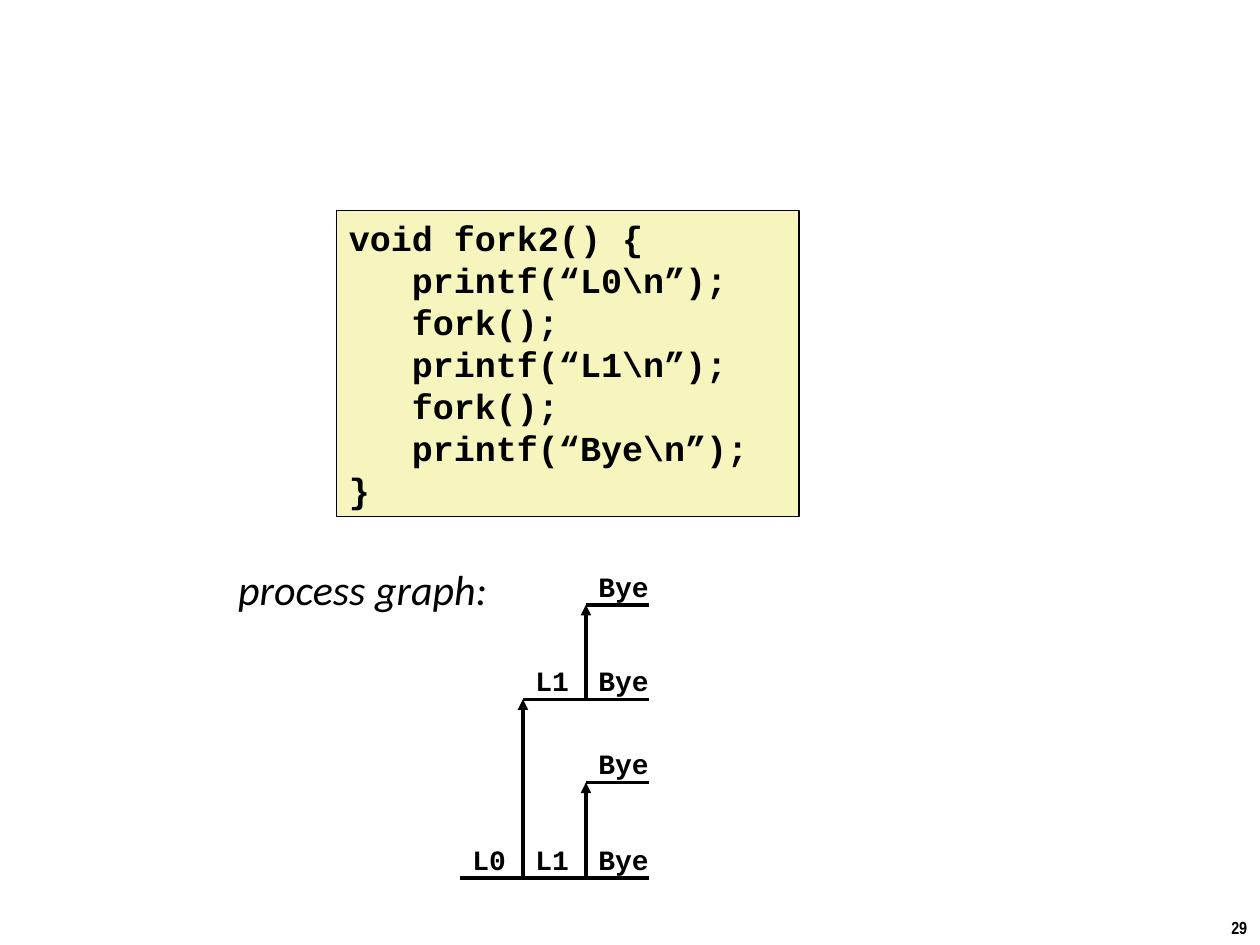
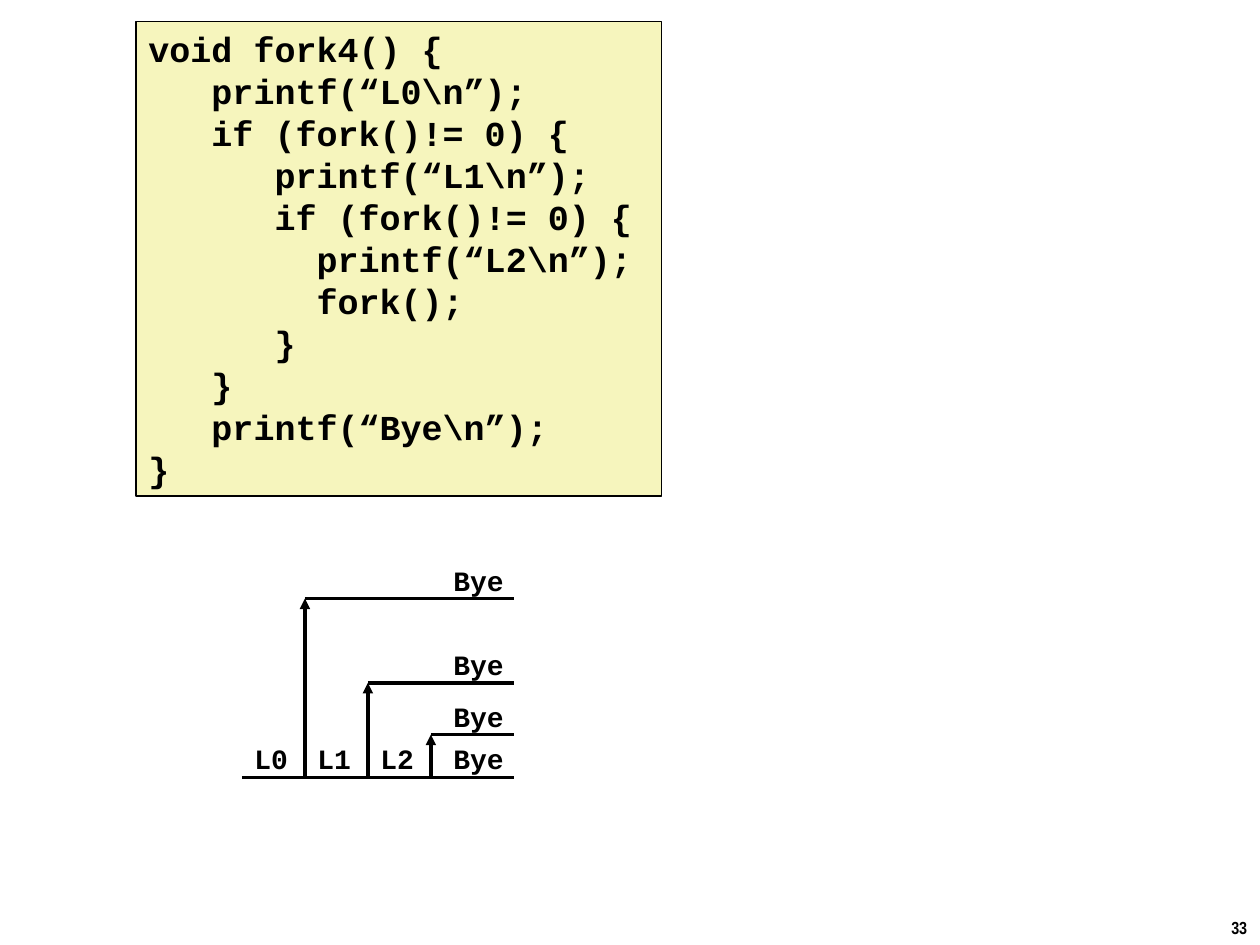
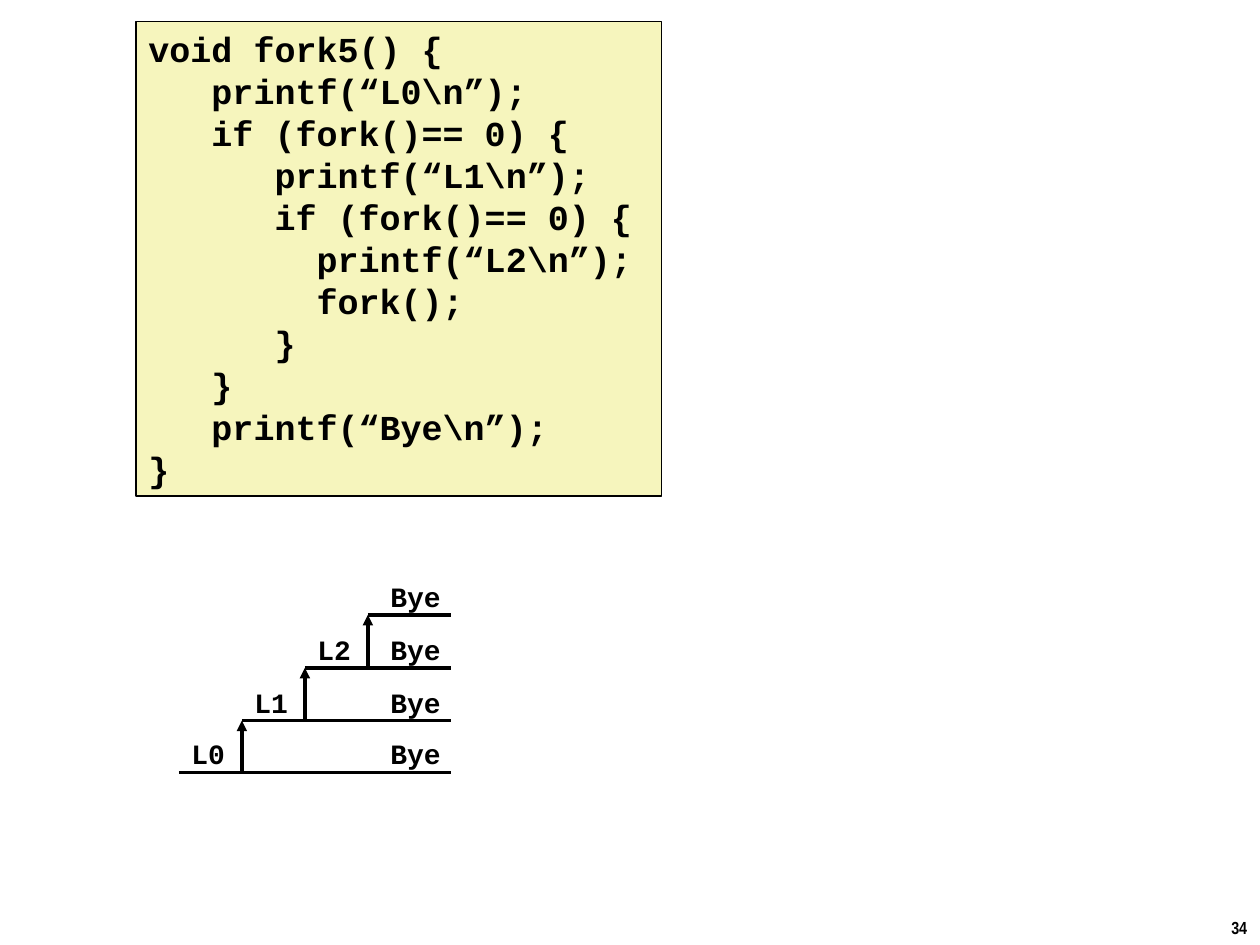
"""Build three slides that pair fork() programs with their process graphs."""
from dataclasses import dataclass

from lxml.etree import SubElement
from pptx import Presentation
from pptx.dml.color import RGBColor
from pptx.enum.shapes import MSO_CONNECTOR, MSO_SHAPE
from pptx.enum.text import MSO_ANCHOR, PP_ALIGN
from pptx.oxml.ns import qn
from pptx.util import Inches, Pt


@dataclass(frozen=True)
class Theme:
    ink: RGBColor = RGBColor(0x00, 0x00, 0x00)
    code_fill: RGBColor = RGBColor(0xF6, 0xF5, 0xBD)
    code_font: str = "Courier New"
    caption_font: str = "Calibri"
    number_font: str = "Arial Narrow"
    code_size: int = 20
    label_size: int = 16
    caption_size: int = 24
    number_size: int = 10
    border_width: int = 1
    graph_width: int = 2


THEME = Theme()
STEP = 0.5
LABEL_RISE = 0.33
LABEL_HEIGHT = 0.37
LABEL_WIDTHS = {2: 0.48, 3: 0.62}
INSETS = (0.1, 0.05)
NESTED_CODE_BOX = (1.08, 0.17, 4.17, 3.77)


def nested_code(name, operator):
    return [
        f"void {name}() {{",
        r"   printf(“L0\n”);",
        f"   if (fork(){operator} 0) {{",
        r"      printf(“L1\n”);",
        f"      if (fork(){operator} 0) {{",
        r"        printf(“L2\n”);",
        "        fork();",
        "      }",
        "   }",
        r"   printf(“Bye\n”);",
        "}",
    ]


# Each branch: parent branch, first column, height on the slide, printed steps.
SLIDES = [
    {
        "number": "29",
        "code": [
            "void fork2() {",
            r"   printf(“L0\n”);",
            "   fork();",
            r"   printf(“L1\n”);",
            "   fork();",
            r"   printf(“Bye\n”);",
            "}",
        ],
        "code_box": (2.67, 1.67, 3.67, 2.43),
        "caption": ("process graph:", (1.85, 4.43, 2.2, 0.5)),
        "graph": {
            "left": 3.65, "right": 5.15, "bye_left": 4.65,
            "branches": [
                (None, 0, 6.97, ["L0", "L1"]),
                (0, 1, 5.55, ["L1"]),
                (0, 2, 6.21, []),
                (1, 2, 4.8, []),
            ],
        },
    },
    {
        "number": "33",
        "code": nested_code("fork4", "!="),
        "code_box": NESTED_CODE_BOX,
        "graph": {
            "left": 1.92, "right": 4.08, "bye_left": 3.5,
            "branches": [
                (None, 0, 6.17, ["L0", "L1", "L2"]),
                (0, 1, 4.75, []),
                (0, 2, 5.42, []),
                (0, 3, 5.83, []),
            ],
        },
    },
    {
        "number": "34",
        "code": nested_code("fork5", "=="),
        "code_box": NESTED_CODE_BOX,
        "graph": {
            "left": 1.42, "right": 3.58, "bye_left": 3.0,
            "branches": [
                (None, 0, 6.13, ["L0"]),
                (0, 1, 5.72, ["L1"]),
                (1, 2, 5.3, ["L2"]),
                (2, 3, 4.88, []),
            ],
        },
    },
]


def write_text(shape, text, font, size, bold=True, italic=False, wrap=False,
               insets=INSETS, alignment=PP_ALIGN.LEFT):
    text_frame = shape.text_frame
    text_frame.text = text
    text_frame.word_wrap = wrap
    text_frame.vertical_anchor = MSO_ANCHOR.TOP
    text_frame.margin_left = text_frame.margin_right = Inches(insets[0])
    text_frame.margin_top = text_frame.margin_bottom = Inches(insets[1])
    for paragraph in text_frame.paragraphs:
        paragraph.alignment = alignment
        for run in paragraph.runs:
            run.font.name = font
            run.font.size = Pt(size)
            run.font.bold = bold
            run.font.italic = italic
            run.font.color.rgb = THEME.ink


def add_text(slide, box, text, font, size, **style):
    shape = slide.shapes.add_textbox(*map(Inches, box))
    write_text(shape, text, font, size, **style)


def add_code(slide, box, lines):
    shape = slide.shapes.add_shape(MSO_SHAPE.RECTANGLE, *map(Inches, box))
    shape.shadow.inherit = False
    shape.fill.solid()
    shape.fill.fore_color.rgb = THEME.code_fill
    shape.line.color.rgb = THEME.ink
    shape.line.width = Pt(THEME.border_width)
    write_text(shape, "\n".join(lines), THEME.code_font, THEME.code_size, wrap=True)


def add_line(slide, start, end, arrow=False):
    connector = slide.shapes.add_connector(
        MSO_CONNECTOR.STRAIGHT, *map(Inches, (*start, *end)))
    connector.line.color.rgb = THEME.ink
    connector.line.width = Pt(THEME.graph_width)
    if arrow:
        SubElement(connector.line._get_or_add_ln(), qn("a:tailEnd"), type="triangle")
    SubElement(connector._element.spPr, qn("a:effectLst"))


def add_label(slide, text, left, line_top):
    box = (left, line_top - LABEL_RISE, LABEL_WIDTHS[len(text)], LABEL_HEIGHT)
    add_text(slide, box, text, THEME.code_font, THEME.label_size)


def add_graph(slide, graph):
    branches = graph["branches"]
    for parent, column, top, steps in branches:
        left = graph["left"] + column * STEP
        if parent is not None:
            add_line(slide, (left, branches[parent][2]), (left, top), arrow=True)
        for step in steps:
            add_line(slide, (left, top), (left + STEP, top))
            add_label(slide, step, left, top)
            left += STEP
        add_line(slide, (left, top), (graph["right"], top))
        add_label(slide, "Bye", graph["bye_left"], top)


def main():
    presentation = Presentation()
    presentation.slide_width = Inches(10)
    presentation.slide_height = Inches(7.5)
    for content in SLIDES:
        slide = presentation.slides.add_slide(presentation.slide_layouts[6])
        add_text(slide, (9.46, 7.23, 0.75, 0.27), content["number"],
                 THEME.number_font, THEME.number_size, alignment=PP_ALIGN.CENTER)
        if "caption" in content:
            text, box = content["caption"]
            add_text(slide, box, text, THEME.caption_font, THEME.caption_size,
                     bold=False, italic=True, insets=(0.04, 0.04))
        add_code(slide, content["code_box"], content["code"])
        add_graph(slide, content["graph"])
    presentation.save("out.pptx")


if __name__ == "__main__":
    main()
